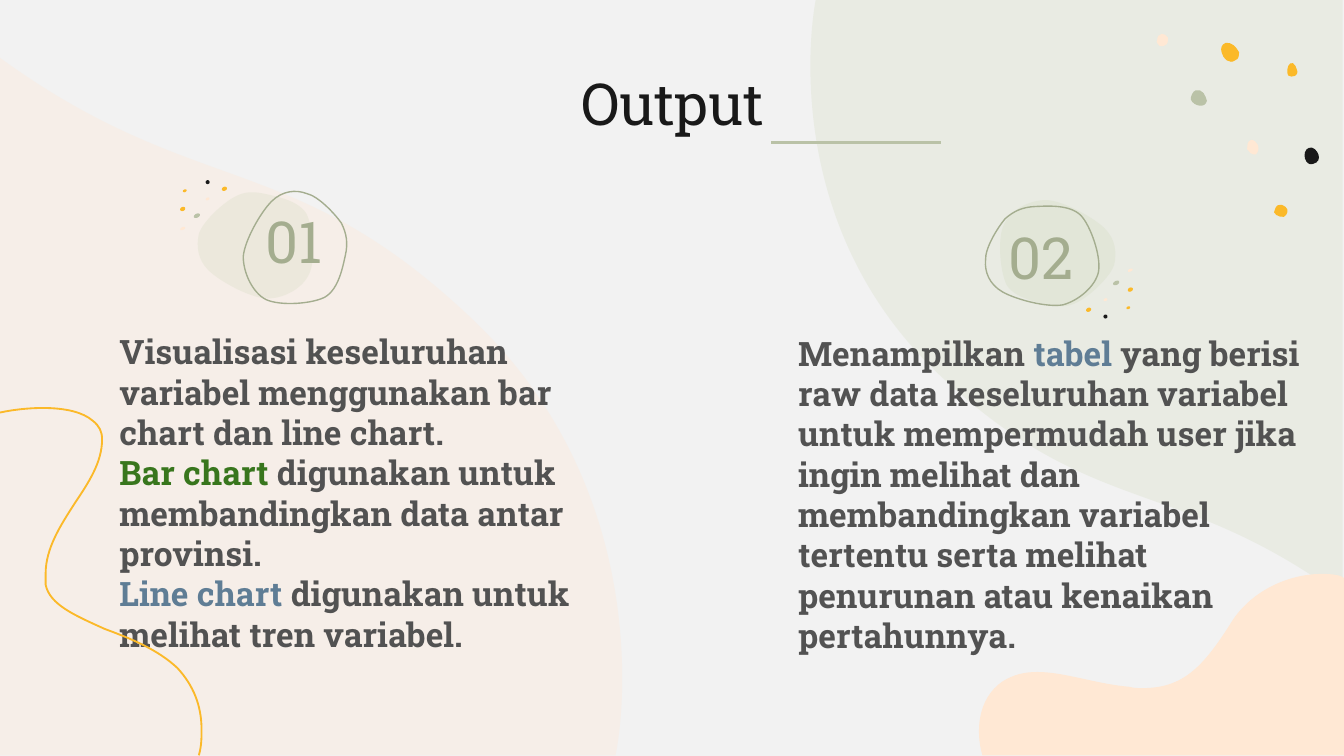
from math import cos, radians, sin

from lxml import etree
from pptx import Presentation
from pptx.dml.color import RGBColor
from pptx.enum.shapes import MSO_CONNECTOR, MSO_SHAPE
from pptx.enum.text import MSO_ANCHOR, PP_ALIGN
from pptx.oxml.ns import qn
from pptx.util import Emu, Inches, Pt

PX = 9144  # EMU per px, 100 px to the inch
FONT = "Roboto Slab"
C = {"paper": "F2F2F2", "ink": "191919", "body": "525252", "sage": "CDD7B6",
     "moss": "A4AD8F", "stone": "BAC2A7", "peach": "FFE8D4", "gold": "FBB929",
     "green": "38761D", "blue": "5F7D95"}

# Outlines, as move (M), line (L) and cubic curve (C) commands
SAGE_CORNER = ("M 603 49 C 603 106 617 201 698 278 C 813 387 874 353 999 444 "
               "L 999 0 L 607 0 C 607 0 603 19 603 49")
PEACH_CORNER = ("M 731 562 C 726 545 727 520 746 507 C 754 502 762 500 772 500 "
                "C 792 500 816 509 840 511 C 844 512 847 512 850 512 "
                "C 879 512 894 498 915 465 C 929 441 957 427 984 427 "
                "C 991 427 998 428 1000 430 L 1000 562")
PEACH_HILL = ("M 463 505 C 463 438 446 327 351 237 C 217 110 146 149 0 43 "
              "L 0 562 L 458 562 C 458 562 463 540 463 505")
WAVE = ("M 0 307 C 18 303 54 300 69 313 C 74 317 76 321 76 327 "
        "C 76 344 66 359 56 374 C 45 391 34 408 34 427 C 34 430 34 432 34 435 "
        "C 37 450 56 458 78 468 C 97 475 117 483 132 497 "
        "C 144 510 150 525 150 543 C 150 549 150 555 148 562")
BLOB = ("M 38 14 C 30 19 17 31 14 40 C 12 49 13 59 21 67 C 29 75 51 87 63 88 "
        "C 76 89 91 81 96 70 C 101 60 99 35 94 25 C 88 15 71 12 62 10 "
        "C 52 8 46 9 38 14")
RING = ("M 34 -18 C 29 -25 17 -38 8 -40 C 0 -43 -10 -42 -18 -34 "
        "C -26 -26 -38 -5 -39 7 C -39 19 -32 34 -22 39 C -11 44 13 42 22 37 "
        "C 32 31 35 15 37 6 C 39 -3 38 -10 34 -18")
BADGE_DOTS = [(31, 5, 4, 3, "gold"), (19, 0, 3, 3, "ink"), (2, 7, 3, 2, "gold"),
              (0, 20, 4, 3, "gold"), (19, 13, 3, 2, "peach"),
              (10, 25, 5, 3, "stone"), (0, 35, 4, 2, "peach")]
CORNER_DOTS = [
    ("gold", "M 100 132 C 100 133 100 135 99 136 C 98 139 91 137 90 134 "
             "C 90 133 90 132 91 131 C 93 126 99 129 100 132"),
    ("ink", "M 123 91 C 124 94 123 97 119 98 C 116 99 114 97 113 94 "
            "C 112 91 113 87 116 86 C 119 85 122 88 123 91"),
    ("gold", "M 107 28 C 108 30 107 33 103 33 C 101 33 100 32 100 31 "
             "C 99 27 101 22 104 23 C 105 24 107 26 107 28"),
    ("gold", "M 64 15 C 64 17 64 20 61 21 C 57 24 52 20 51 15 "
             "C 50 12 51 9 54 8 C 58 7 62 11 64 15"),
    ("peach", "M 78 84 C 79 87 78 90 76 91 C 73 91 71 89 70 87 "
              "C 70 84 70 81 73 80 C 75 80 77 82 78 84"),
    ("stone", "M 39 48 C 40 49 40 50 40 51 C 39 57 30 55 28 50 "
              "C 28 49 28 48 29 46 C 32 40 38 44 39 48"),
    ("peach", "M 11 4 C 11 5 11 5 11 6 C 11 11 4 12 3 8 "
              "C 3 7 2 7 3 6 C 3 0 9 0 11 4"),
]


def rgb(name):
    return RGBColor.from_string(C[name])


def box_emu(*lengths):
    return [Emu(int(v * PX)) for v in lengths]


def style(sp, fill=None, line=None, width=0.75, alpha=None):
    sp.shadow.inherit = False
    if fill:
        sp.fill.solid()
        sp.fill.fore_color.rgb = rgb(fill)
    else:
        sp.fill.background()
    if alpha:
        clr = sp._element.spPr.find(qn("a:solidFill")).find(qn("a:srgbClr"))
        etree.SubElement(clr, qn("a:alpha")).set("val", str(alpha * 1000))
    if line:
        sp.line.color.rgb = rgb(line)
        sp.line.width = Pt(width)
    else:
        sp.line.fill.background()


def bend(sp, commands):
    """Join each three segments of a curve command into one cubic curve."""
    segments = iter(list(sp._element.iter(qn("a:lnTo"))))
    for command in commands:
        first = next(segments)
        if command == "C":
            curve = etree.Element(qn("a:cubicBezTo"))
            first.addprevious(curve)
            for seg in (first, next(segments), next(segments)):
                curve.append(seg[0])
                seg.getparent().remove(seg)


def add_outline(s, x, y, outline, turn=0, pivot=(0, 0), close=True, **look):
    words = outline.split()
    commands = [w for w in words if w in ("L", "C")]
    n = [int(w) for w in words if w not in ("M", "L", "C")]
    co, si = cos(radians(turn)), sin(radians(turn))
    px, py = pivot
    pts = [((x + px + (u - px) * co - (v - py) * si) * PX,
            (y + py + (u - px) * si + (v - py) * co) * PX)
           for u, v in zip(n[::2], n[1::2])]
    fb = s.shapes.build_freeform(*pts[0], scale=1.0)
    fb.add_line_segments(pts[1:], close=close)
    sp = fb.convert_to_shape()
    bend(sp, commands)
    style(sp, **look)


def add_text(sp, paragraphs, size=18, bold=False, align=PP_ALIGN.LEFT,
             anchor=MSO_ANCHOR.MIDDLE):
    """Fill a shape with paragraphs, each a list of (text, colour) runs."""
    tf = sp.text_frame
    tf.word_wrap = True
    tf.vertical_anchor = anchor
    tf.margin_left = tf.margin_right = tf.margin_top = tf.margin_bottom = Emu(10 * PX)
    for i, runs in enumerate(paragraphs):
        p = tf.add_paragraph() if i else tf.paragraphs[0]
        p.alignment = align
        for text, color in runs:
            r = p.add_run()
            r.text = text
            r.font.name, r.font.size, r.font.bold = FONT, Pt(size), bold
            r.font.color.rgb = rgb(color)


def add_backdrop(s):
    s.background.fill.solid()
    s.background.fill.fore_color.rgb = rgb("paper")
    add_outline(s, 0, 0, SAGE_CORNER, fill="sage", alpha=24)
    add_outline(s, 0, 0, PEACH_CORNER, fill="peach")
    add_outline(s, 0, 0, PEACH_HILL, fill="peach", alpha=32)


def add_heading(s, x, y, w, h, text):
    title = s.shapes.title
    title.left, title.top, title.width, title.height = box_emu(x, y, w, h)
    add_text(title, [[(text, "ink")]], size=31, align=PP_ALIGN.CENTER)
    rule = s.shapes.add_connector(MSO_CONNECTOR.STRAIGHT,
                                  *box_emu(x + 495, y + 47, x + 621, y + 47))
    rule.line.color.rgb = rgb("stone")
    rule.line.width = Pt(1.5)
    etree.SubElement(rule._element.spPr, qn("a:effectLst"))


def add_badge(s, x, y, number, ring, ring_turn, label, flip=False):
    w, h = 99, 88
    turn = 180 if flip else 0
    add_outline(s, x, y, BLOB, turn=turn, pivot=(w / 2, h / 2), fill="sage", alpha=24)
    add_outline(s, x + ring[0], y + ring[1], RING, turn=ring_turn, line="moss")
    for dx, dy, dw, dh, color in BADGE_DOTS:
        if flip:
            dx, dy = w - dx - dw, h - dy - dh
        dot = s.shapes.add_shape(MSO_SHAPE.OVAL, *box_emu(x + dx, y + dy, dw, dh))
        dot.rotation = (334.6 + turn) % 360
        style(dot, fill=color)
    tb = s.shapes.add_textbox(*box_emu(x + label[0], y + label[1], 79, 72))
    add_text(tb, [[(number, "moss")]], size=31, align=PP_ALIGN.CENTER,
             anchor=MSO_ANCHOR.TOP)


def add_body(s, x, y, w, h, paragraphs):
    add_text(s.shapes.add_textbox(*box_emu(x, y, w, h)), paragraphs, bold=True)


def add_corner_dots(s, x, y):
    for color, outline in CORNER_DOTS:
        add_outline(s, x, y, outline, fill=color)


def main():
    prs = Presentation()
    prs.slide_width, prs.slide_height = Inches(10), Inches(5.625)
    s = prs.slides.add_slide(prs.slide_layouts[5])
    add_backdrop(s)
    add_heading(s, 79, 59, 843, 35, "Output")
    add_badge(s, 134, 134, "01", ring=(86, 50), ring_turn=0, label=(45, 9))
    add_badge(s, 744, 149, "02", ring=(30, 42), ring_turn=255, label=(-9, 6), flip=True)
    add_body(s, 79, 240, 404, 253, [
        [("Visualisasi keseluruhan variabel menggunakan bar chart dan line chart.", "body")],
        [("Bar chart", "green"),
         (" digunakan untuk membandingkan data antar provinsi.", "body")],
        [("Line chart", "blue"), (" digunakan untuk melihat tren variabel.", "body")]])
    add_body(s, 584, 226, 404, 283, [
        [("Menampilkan ", "body"), ("tabel", "blue"),
         (" yang berisi raw data keseluruhan variabel untuk mempermudah user jika "
          "ingin melihat dan membandingkan variabel tertentu serta melihat "
          "penurunan atau kenaikan pertahunnya.", "body")]])
    add_outline(s, 0, 0, WAVE, close=False, line="gold", width=1)
    add_corner_dots(s, 858, 24)
    prs.save("out.pptx")


if __name__ == "__main__":
    main()
